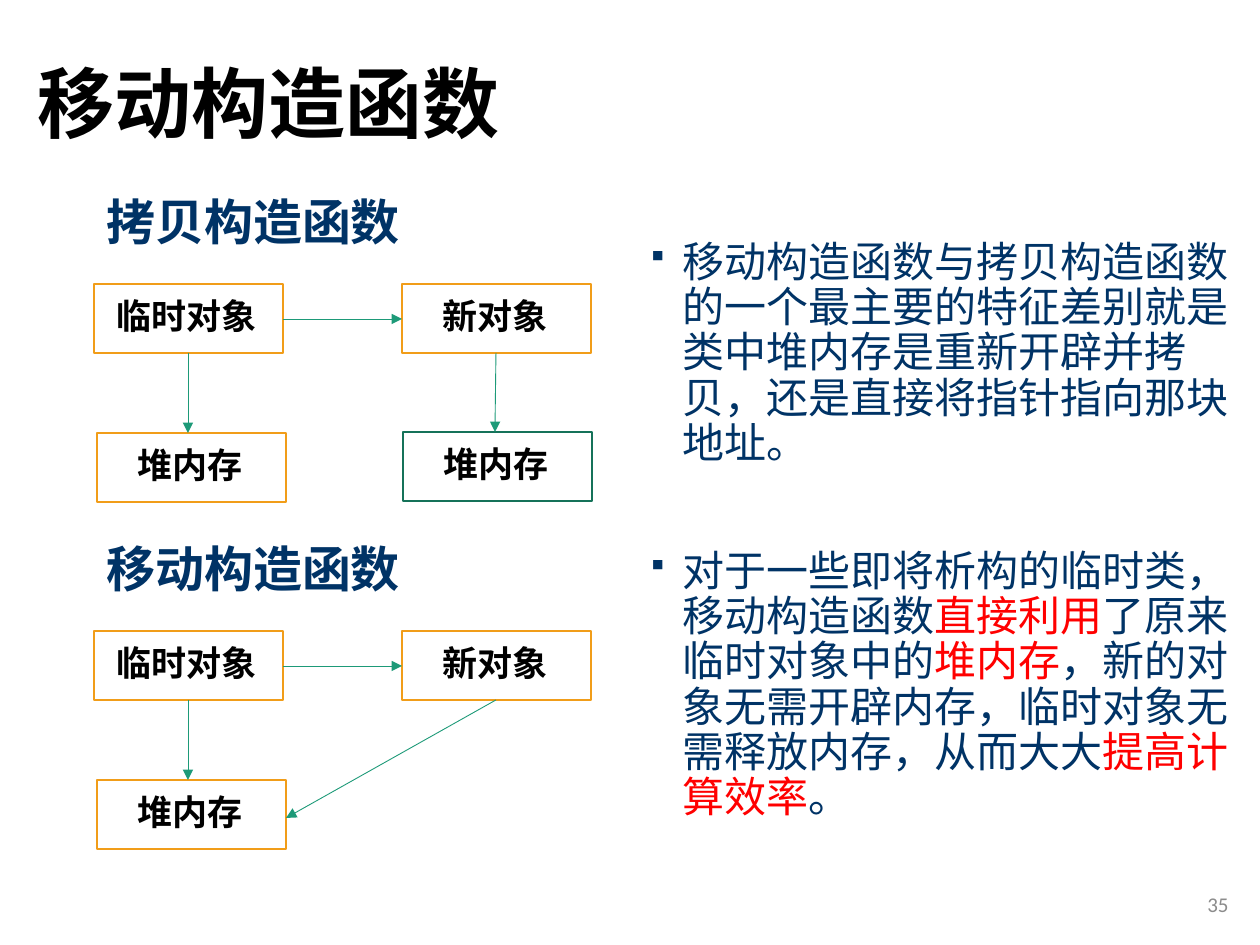
from pptx import Presentation
from pptx.dml.color import RGBColor
from pptx.enum.shapes import MSO_CONNECTOR, MSO_SHAPE
from pptx.enum.text import MSO_ANCHOR, PP_ALIGN
from pptx.oxml.ns import qn
from pptx.util import Pt
from lxml.etree import SubElement

PX = 914400 // 126
CJK = "Noto Sans CJK SC"
NAVY, RED, ORANGE, GREEN = "003366", "FF0000", "F19D19", "1D9A78"


def rgb(value):
    return RGBColor.from_string(value)


def style(r, size, color, bold=False, font=CJK):
    r.font.size = Pt(size)
    r.font.bold = bold
    r.font.name = font
    r.font.color.rgb = rgb(color)
    SubElement(r.font._element, qn("a:ea")).set("typeface", font)


prs = Presentation()
prs.slide_width, prs.slide_height = 1260 * PX, 945 * PX
s = prs.slides.add_slide(prs.slide_layouts[1])
title, body = s.placeholders

title.left, title.top, title.width, title.height = [v * PX for v in (25, 16, 1086, 183)]
title.text_frame.text = "移动构造函数"
title.text_frame.vertical_anchor = MSO_ANCHOR.MIDDLE
p = title.text_frame.paragraphs[0]
p.alignment = PP_ALIGN.LEFT
p.line_spacing = 0.9
style(p.runs[0], 44, "000000", True)

TEMP = ("临时对象", 94, 99, ORANGE)
HEAP = ("堆内存", 97, 248, ORANGE)
NEW = ("新对象", 402, 99, ORANGE)
NEW_HEAP = ("堆内存", 403, 247, "157259")
COMMON = [(283, 134, 402, 134), (188, 168, 188, 248)]
DIAGRAMS = [
    ("拷贝构造函数", 185, [TEMP, HEAP, NEW, NEW_HEAP], COMMON + [(496, 168, 495, 247)]),
    ("移动构造函数", 532, [TEMP, HEAP, NEW], COMMON + [(496, 168, 286, 286)]),
]

for heading, top, nodes, arrows in DIAGRAMS:
    tb = s.shapes.add_textbox(94 * PX, top * PX, 355 * PX, 72 * PX)
    tf = tb.text_frame
    tf.word_wrap = True
    tf.text = heading
    style(tf.paragraphs[0].runs[0], 28, NAVY, True)

    group = s.shapes.add_group_shape()
    for label, x, dy, color in nodes:
        sp = group.shapes.add_shape(
            MSO_SHAPE.RECTANGLE, x * PX, (top + dy) * PX, 189 * PX, 69 * PX)
        sp.shadow.inherit = False
        sp.fill.solid()
        sp.fill.fore_color.rgb = rgb("FFFFFF")
        sp.line.color.rgb = rgb(color)
        sp.line.width = Pt(1)
        tf = sp.text_frame
        tf.text = label
        tf.vertical_anchor = MSO_ANCHOR.MIDDLE
        tf.margin_right = 16 * PX
        tf.margin_bottom = 12 * PX
        tf.paragraphs[0].alignment = PP_ALIGN.CENTER
        style(tf.paragraphs[0].runs[0], 20, "000000", True)

    for x1, y1, x2, y2 in arrows:
        arrow = group.shapes.add_connector(
            MSO_CONNECTOR.STRAIGHT, x1 * PX, (top + y1) * PX, x2 * PX, (top + y2) * PX)
        arrow.line.color.rgb = rgb(GREEN)
        arrow.line.width = Pt(0.5)
        SubElement(arrow.line._get_or_add_ln(), qn("a:tailEnd")).set("type", "triangle")
        SubElement(arrow._element.spPr, qn("a:effectLst"))

body.left, body.top, body.width, body.height = [v * PX for v in (638, 234, 603, 536)]
POINTS = [
    (0, [("移动构造函数与拷贝构造函数的一个最主要的特征差别就是类中堆内存是重新开辟并拷贝，"
          "还是直接将指针指向那块地址。", NAVY)]),
    (47, [("对于一些即将析构的临时类，移动构造函数", NAVY), ("直接利用", RED),
          ("了原来临时对象中的", NAVY), ("堆内存", RED),
          ("，新的对象无需开辟内存，临时对象无需释放内存，从而大大", NAVY),
          ("提高计算效率", RED), ("。", NAVY)]),
]
tf = body.text_frame
tf.vertical_anchor = MSO_ANCHOR.TOP
for i, (gap, parts) in enumerate(POINTS):
    p = tf.add_paragraph() if i else tf.paragraphs[0]
    p.line_spacing = Pt(25.9)
    p.space_before = Pt(gap)
    pPr = p._p.get_or_add_pPr()
    pPr.set("marL", "228600")
    pPr.set("indent", "-228600")
    pPr.set("hangingPunct", "0")
    SubElement(pPr, qn("a:buSzPct")).set("val", "75000")
    bullet_font = SubElement(pPr, qn("a:buFont"))
    bullet_font.set("typeface", "Wingdings")
    bullet_font.set("charset", "2")
    SubElement(pPr, qn("a:buChar")).set("char", "§")
    for text, color in parts:
        r = p.add_run()
        r.text = text
        style(r, 24, color)

tb = s.shapes.add_textbox(958 * PX, 879 * PX, 283 * PX, 50 * PX)
tf = tb.text_frame
tf.word_wrap = True
tf.text = "35"
tf.vertical_anchor = MSO_ANCHOR.MIDDLE
tf.paragraphs[0].alignment = PP_ALIGN.RIGHT
style(tf.paragraphs[0].runs[0], 12, "8C8C8C", font="Calibri")

prs.save("out.pptx")
